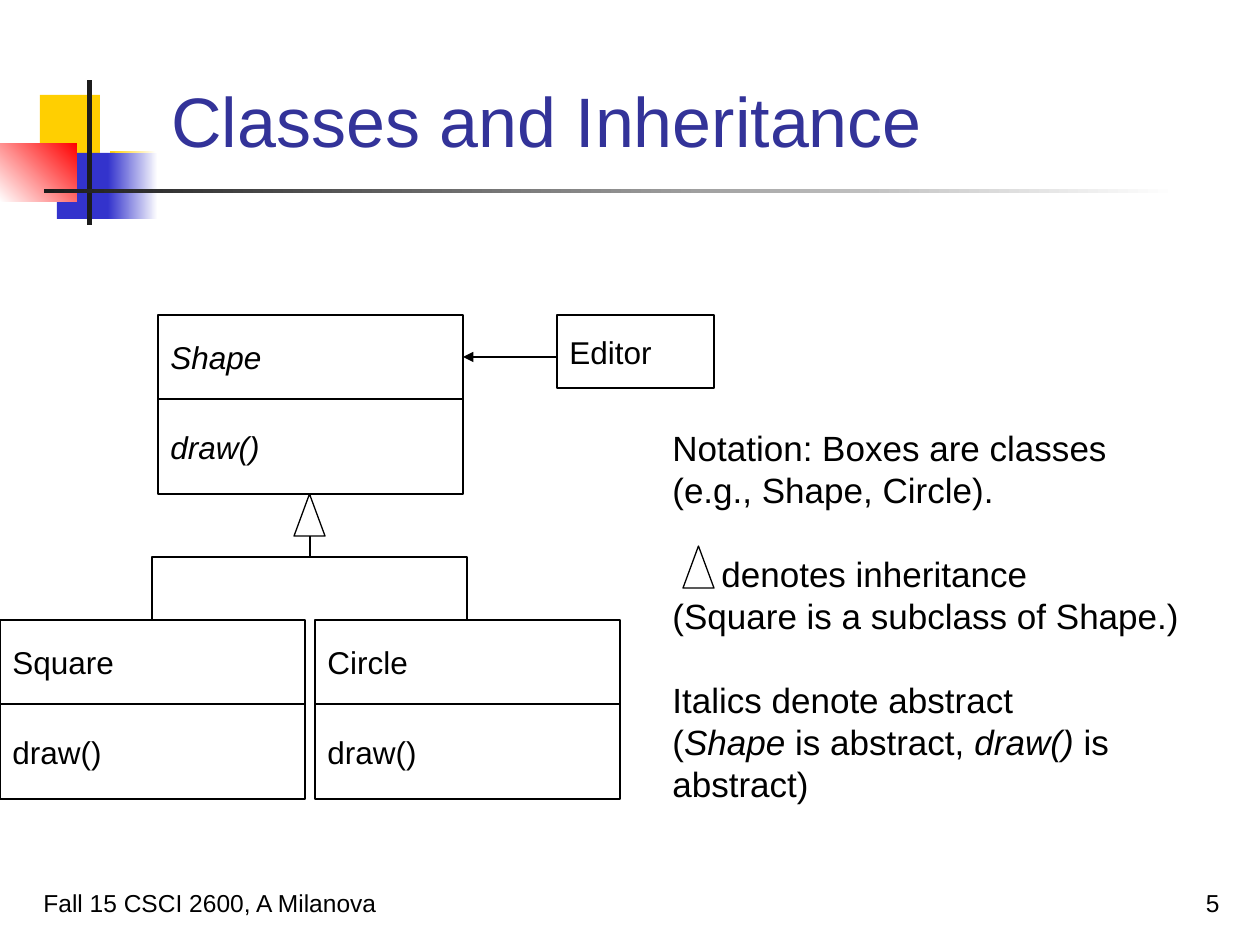
from lxml.etree import SubElement
from pptx import Presentation
from pptx.dml.color import RGBColor
from pptx.enum.shapes import MSO_CONNECTOR as Link, MSO_SHAPE as Preset
from pptx.enum.text import MSO_ANCHOR as Anchor, PP_ALIGN as Align
from pptx.oxml.ns import qn
from pptx.util import Pt

EMU_PER_PX = 914400 / 126
WHITE = RGBColor(0xFF, 0xFF, 0xFF)
BLACK = RGBColor(0x00, 0x00, 0x00)
CHARCOAL = RGBColor(0x1C, 0x1C, 0x1C)
YELLOW = RGBColor(0xFF, 0xCF, 0x01)
BLUE = RGBColor(0x33, 0x33, 0xCC)
RED = RGBColor(0xFF, 0x00, 0x00)
TITLE_BLUE = RGBColor(0x33, 0x33, 0x99)

NAME_HEIGHT = 84
METHOD_HEIGHT = 95
TRIANGLE_SIZE = (31, 42)


def px(*lengths):
    return [round(length * EMU_PER_PX) for length in lengths]


def style_font(font, size, color=BLACK, italic=False):
    font.name = "Arial"
    font.size = Pt(size)
    font.color.rgb = color
    font.italic = italic


def add_plain_shape(page, preset, box):
    shape = page.shapes.add_shape(preset, *px(*box))
    shape.shadow.inherit = False
    return shape


def add_block(page, box, color, fade_angle=None):
    block = add_plain_shape(page, Preset.RECTANGLE, box)
    block.line.fill.background()
    if fade_angle is None:
        block.fill.solid()
        block.fill.fore_color.rgb = color
    else:
        block.fill.gradient()
        block.fill.gradient_angle = fade_angle
        for stop, stop_color in zip(block.fill.gradient_stops, (color, WHITE)):
            stop.color.rgb = stop_color


def add_outlined(page, preset, box):
    shape = add_plain_shape(page, preset, box)
    shape.fill.solid()
    shape.fill.fore_color.rgb = WHITE
    shape.line.color.rgb = BLACK
    shape.line.width = Pt(0.75)
    return shape


def add_label(page, box, text, size, color=BLACK, align=Align.LEFT):
    label = page.shapes.add_textbox(*px(*box))
    frame = label.text_frame
    frame.word_wrap = True
    frame.vertical_anchor = Anchor.BOTTOM
    frame.text = text
    frame.paragraphs[0].alignment = align
    style_font(frame.paragraphs[0].runs[0].font, size, color)


def add_link(page, kind, start, end):
    link = page.shapes.add_connector(kind, *px(*start, *end))
    link.line.color.rgb = BLACK
    link.line.width = Pt(0.75)
    SubElement(link._element.spPr, qn("a:effectLst"))
    return link


def add_arrow(page, start, end):
    arrow = add_link(page, Link.STRAIGHT, start, end)
    SubElement(arrow.line._get_or_add_ln(), qn("a:tailEnd"), type="triangle")


def add_branch(page, parent, child):
    half_width = (child[0] - parent[0]) / 2
    half_height = (child[1] - parent[1]) / 2
    center_x, center_y = parent[0] + half_width, parent[1] + half_height
    branch = add_link(page, Link.ELBOW,
                      (center_x - half_height, center_y + half_width),
                      (center_x + half_height, center_y - half_width))
    branch._element.spPr.find(qn("a:xfrm")).set("rot", "5400000")


def add_cell(page, box, text, italic=False):
    cell = add_outlined(page, Preset.RECTANGLE, box)
    frame = cell.text_frame
    frame.vertical_anchor = Anchor.MIDDLE
    frame.text = text
    frame.paragraphs[0].alignment = Align.LEFT
    style_font(frame.paragraphs[0].runs[0].font, 18, italic=italic)


def add_class(page, left, top, name, abstract=False):
    add_cell(page, (left, top, 305, NAME_HEIGHT), name, abstract)
    add_cell(page, (left, top + NAME_HEIGHT, 305, METHOD_HEIGHT), "draw()", abstract)


def add_triangle(page, left, top):
    add_outlined(page, Preset.ISOSCELES_TRIANGLE, (left, top, *TRIANGLE_SIZE))


def add_header(page, left, top):
    for x, y, width, height, color, angle in (
        (40, 14, 60, 66, YELLOW, None),
        (110, 70, 46, 66, YELLOW, 0),
        (57, 72, 58, 66, BLUE, None),
        (108, 72, 50, 66, BLUE, 0),
        (0, 62, 77, 59, RED, 225),
        (87, -1, 5, 145, CHARCOAL, None),
        (44, 108, 1134, 4, CHARCOAL, 0),
    ):
        add_block(page, (left + x, top + y, width, height), color, angle)
    add_label(page, (left + 159, top - 52, 1074, 139),
              "Classes and Inheritance", 40, TITLE_BLUE)


def add_diagram(page, left, top):
    parent = (left + 310, top + NAME_HEIGHT + METHOD_HEIGHT)
    children_top = top + 305
    add_class(page, left + 158, top, "Shape", abstract=True)
    add_cell(page, (left + 557, top, 157, 73), "Editor")
    add_arrow(page, (left + 557, top + 42), (left + 463, top + 42))
    for offset, name in ((0, "Square"), (315, "Circle")):
        add_class(page, left + offset, children_top, name)
        add_branch(page, parent, (left + offset + 152, children_top))
    add_triangle(page, parent[0] - 16, parent[1])


def add_notation(page, left, top):
    notation = page.shapes.add_textbox(*px(left, top, 607, 349))
    frame = notation.text_frame
    frame.word_wrap = False
    lines = (
        (("Notation: Boxes are classes\v(e.g., Shape, Circle).",), 0, 0),
        (("denotes inheritance",), 24, 49),
        (("(Square is a subclass of Shape.)",), 0, 0),
        (("Italics denote abstract",), 24, 0),
        (("(", "Shape", " is abstract, ", "draw()", " is abstract)"), 0, 0),
    )
    for index, (pieces, gap, indent) in enumerate(lines):
        para = frame.add_paragraph() if index else frame.paragraphs[0]
        para.line_spacing = Pt(24)
        para.space_before = Pt(gap)
        para._p.get_or_add_pPr().set("marL", str(px(indent)[0]))
        if len(pieces) == 1:
            para.text = pieces[0]
        else:
            for piece in pieces:
                para.add_run().text = piece
        for order, span in enumerate(para.runs):
            style_font(span.font, 20, italic=len(pieces) > 1 and order % 2 == 1)
    add_triangle(page, left + 23, top + 126)


def add_footer(page, left, top):
    add_label(page, (left, top, 651, 63), "Fall 15 CSCI 2600, A Milanova", 14)
    add_label(page, (left + 939, top, 262, 63), "5", 14, align=Align.RIGHT)


def main():
    deck = Presentation()
    deck.slide_width, deck.slide_height = px(1260, 945)
    page = deck.slides.add_slide(deck.slide_layouts[6])
    add_header(page, 0, 81)
    add_diagram(page, 0, 315)
    add_notation(page, 660, 420)
    add_footer(page, 31, 861)
    deck.save("out.pptx")


if __name__ == "__main__":
    main()
